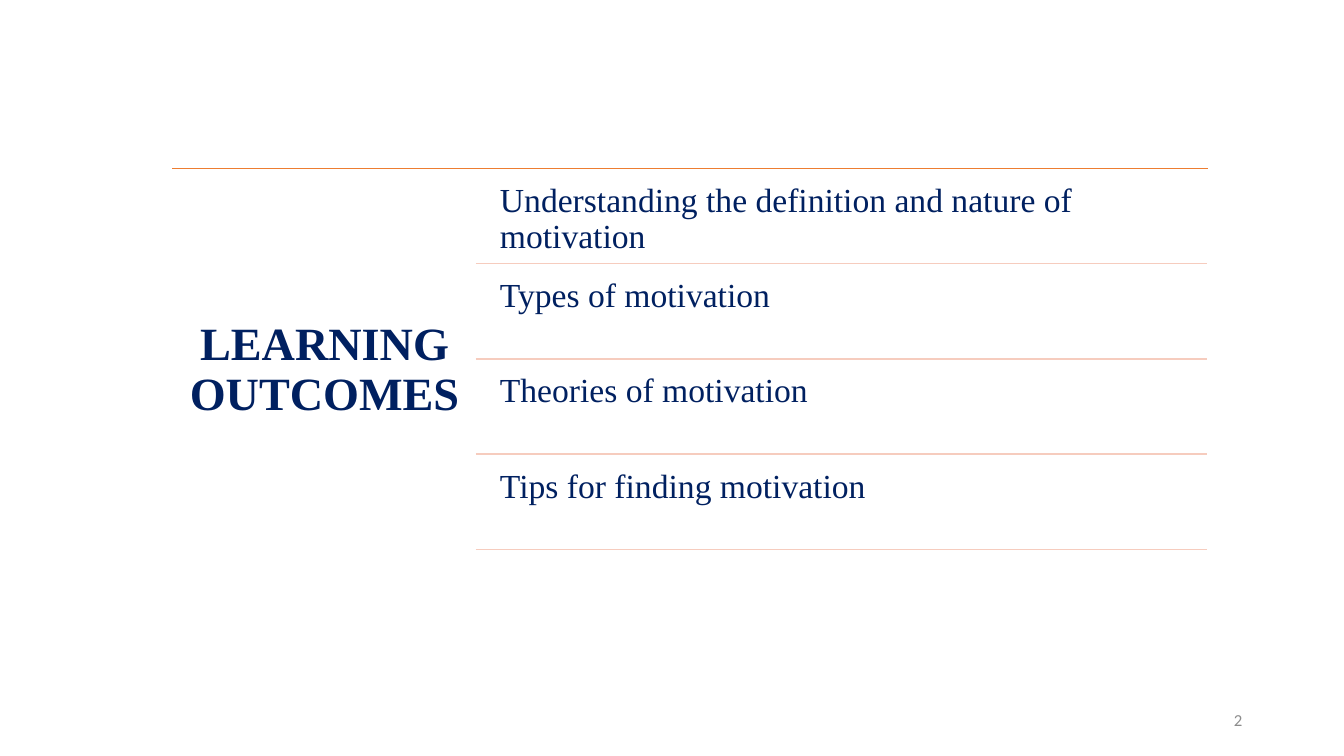
from lxml import etree
from pptx import Presentation
from pptx import util as u
from pptx.dml.color import RGBColor
from pptx.enum import shapes, text
from pptx.oxml.ns import qn

COLOURS = {"navy": "002060", "orange": "ED7D31", "peach": "F6CCBE", "grey": "8C8C8C"}
OUTCOMES = [
    "Understanding the definition and nature of motivation",
    "Types of motivation",
    "Theories of motivation",
    "Tips for finding motivation",
]
TOP, ROW_STEP = 1.67, 0.945


def add_rule(page, left, right, y, colour):
    rule = page.shapes.add_connector(
        shapes.MSO_CONNECTOR.STRAIGHT,
        u.Inches(left), u.Inches(y), u.Inches(right), u.Inches(y))
    rule.line.color.rgb = RGBColor.from_string(COLOURS[colour])
    rule.line.width = u.Pt(1)
    etree.SubElement(rule._element.spPr, qn("a:effectLst"))


def write(box, words, font, size, colour, align, inset, bold=False):
    frame = box.text_frame
    frame.word_wrap = True
    frame.auto_size = text.MSO_AUTO_SIZE.NONE
    frame.margin_left = frame.margin_right = u.Inches(inset)
    frame.margin_top = frame.margin_bottom = u.Inches(inset)
    frame.text = words
    para = frame.paragraphs[0]
    para.alignment = align
    para.line_spacing = 0.9
    para.font.name = font
    para.font.size = u.Pt(size)
    para.font.bold = bold
    para.font.color.rgb = RGBColor.from_string(COLOURS[colour])
    return frame


deck = Presentation()
deck.slide_width = u.Inches(13.33)
deck.slide_height = u.Inches(7.5)
page = deck.slides.add_slide(deck.slide_layouts[5])

# Heading on the left, set slightly below the middle of its box
title = page.shapes.title
title.left, title.top = u.Inches(1.71), u.Inches(TOP)
title.width, title.height = u.Inches(3.02), u.Inches(3.83)
frame = write(title, "LEARNING OUTCOMES", "Times New Roman", 33, "navy",
              text.PP_ALIGN.CENTER, 0.14, bold=True)
frame.vertical_anchor = text.MSO_ANCHOR.MIDDLE
frame.margin_top = u.Inches(0.33)

# Outcomes, each closed by a thin rule
add_rule(page, 1.71, 11.98, TOP, "orange")
for row, outcome in enumerate(OUTCOMES):
    row_top = TOP + row * ROW_STEP
    box = page.shapes.add_textbox(
        u.Inches(4.86), u.Inches(row_top + 0.05), u.Inches(7.11), u.Inches(0.9))
    write(box, outcome, "Times New Roman", 24, "navy", text.PP_ALIGN.LEFT, 0.1)
    add_rule(page, 4.72, 11.97, row_top + ROW_STEP, "peach")

# Page number
number = page.shapes.add_textbox(
    u.Inches(9.42), u.Inches(6.95), u.Inches(3), u.Inches(0.4))
frame = write(number, "2", "Calibri", 12, "grey", text.PP_ALIGN.RIGHT, 0.1)
frame.vertical_anchor = text.MSO_ANCHOR.MIDDLE

deck.save("out.pptx")
